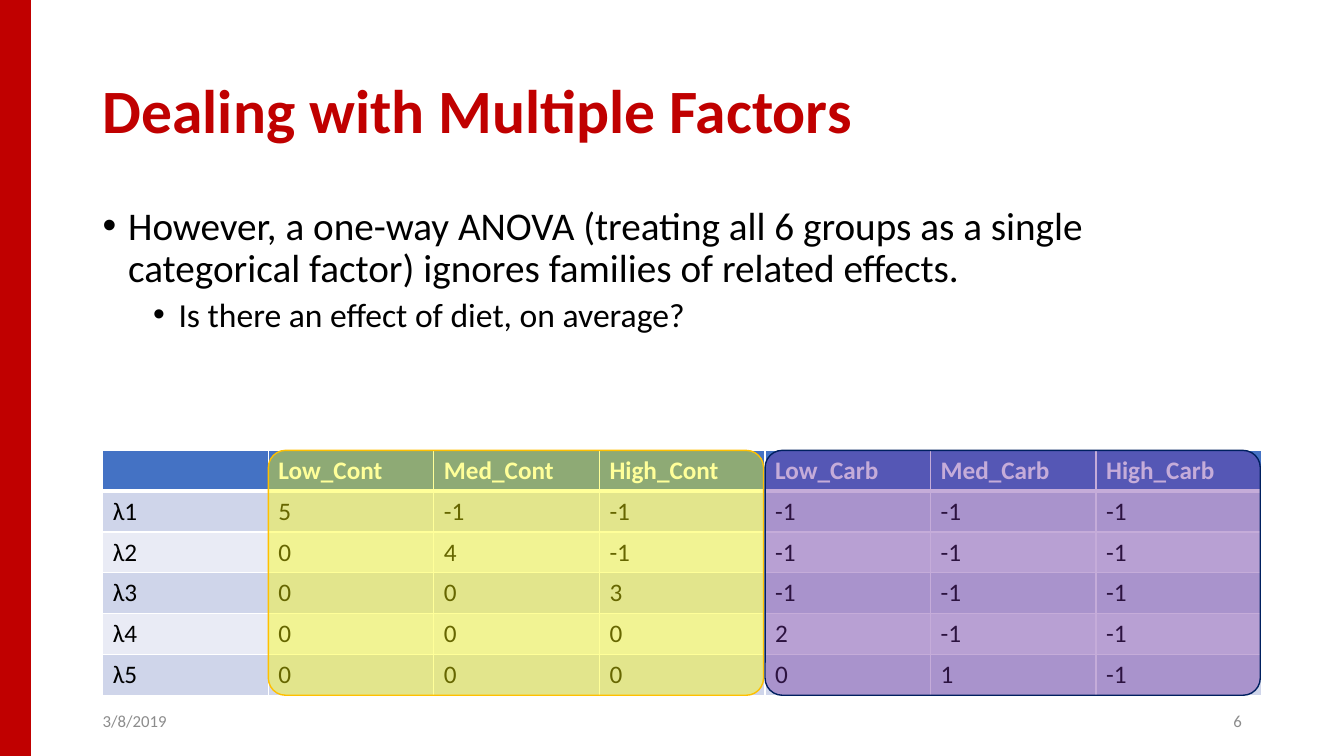
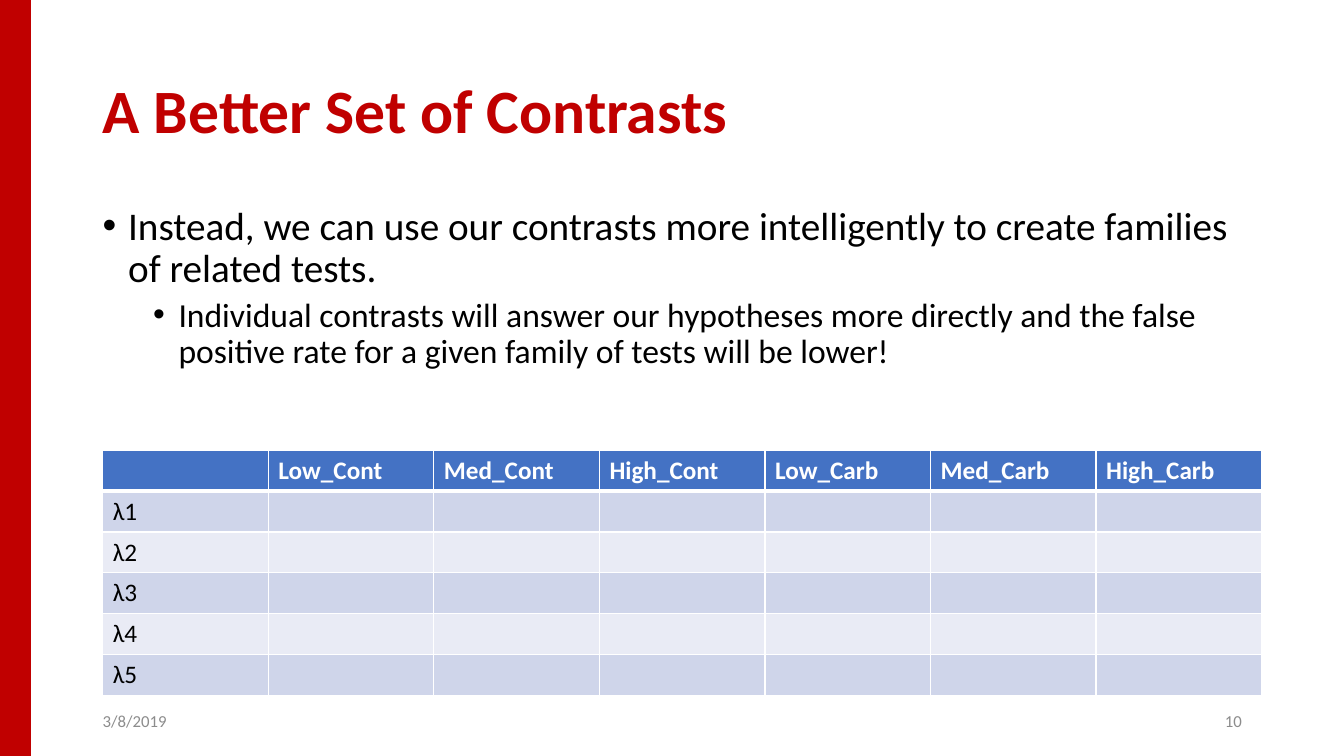
from lxml import etree
from pptx import Presentation
from pptx.dml.color import RGBColor
from pptx.enum import shapes, text
from pptx.oxml import ns
from pptx.util import Cm, Pt

RED = RGBColor(0xC0, 0x00, 0x00)
BLACK = RGBColor(0x00, 0x00, 0x00)
WHITE = RGBColor(0xFF, 0xFF, 0xFF)
GREY = RGBColor(0x8C, 0x8C, 0x8C)
BLUE = RGBColor(0x44, 0x72, 0xC4)
DARK = RGBColor(0xCF, 0xD5, 0xEA)
LIGHT = RGBColor(0xE9, 0xEB, 0xF5)
YELLOW = RGBColor(0xFF, 0xFF, 0x00)
GOLD = RGBColor(0xFF, 0xC0, 0x00)
PURPLE = RGBColor(0x70, 0x30, 0xA0)
NAVY = RGBColor(0x00, 0x20, 0x60)
FONT = "Calibri"

# Content
DATE = "3/8/2019"
HEAD = ["", "Low_Cont", "Med_Cont", "High_Cont",
        "Low_Carb", "Med_Carb", "High_Carb"]
TESTS = ["λ1", "λ2", "λ3", "λ4", "λ5"]
SLIDES = [
    {
        "title": "Dealing with Multiple Factors",
        "body": [
            (0, "However, a one-way ANOVA (treating all 6 groups as a single "
                "categorical factor) ignores families of related effects."),
            (1, "Is there an effect of diet, on average?"),
        ],
        "values": [
            [5, -1, -1, -1, -1, -1],
            [0, 4, -1, -1, -1, -1],
            [0, 0, 3, -1, -1, -1],
            [0, 0, 0, 2, -1, -1],
            [0, 0, 0, 0, 1, -1],
        ],
        # first column, column count, fill, line
        "marks": [(1, 3, YELLOW, GOLD), (4, 3, PURPLE, NAVY)],
        "number": 6,
    },
    {
        "title": "A Better Set of Contrasts",
        "body": [
            (0, "Instead, we can use our contrasts more intelligently to "
                "create families of related tests."),
            (1, "Individual contrasts will answer our hypotheses more directly "
                "and the false positive rate for a given family of tests "
                "will be lower!"),
        ],
        "values": [[""] * 6] * 5,
        "marks": [],
        "number": 10,
    },
]

# Layout
WIDE, HIGH = Cm(33.87), Cm(19.05)
LEFT, SPAN = Cm(2.34), Cm(29.21)
GRID_X, GRID_Y = Cm(2.59), Cm(11.35)
COL, ROW = SPAN // len(HEAD), Cm(6.17) // (len(TESTS) + 1)
LEVELS = [(28, Cm(0.64)), (24, Cm(1.91))]  # text size, indent
HANG = Cm(0.64)


def style(para, size, color, bold=False):
    font = para.font
    font.name, font.size, font.bold = FONT, Pt(size), bold
    font.color.rgb = color


def add_box(slide, x, y, w, h, anchor=text.MSO_ANCHOR.MIDDLE):
    frame = slide.shapes.add_textbox(x, y, w, h).text_frame
    frame.word_wrap = True
    frame.vertical_anchor = anchor
    return frame


def add_shape(slide, kind, x, y, w, h, fill, line):
    shape = slide.shapes.add_shape(kind, x, y, w, h)
    shape.shadow.inherit = False
    shape.fill.solid()
    shape.fill.fore_color.rgb = fill
    shape.line.color.rgb = line
    shape.line.width = Pt(1)
    return shape


def add_frame(slide, title, number):
    """Red band, title, date and slide number."""
    add_shape(slide, shapes.MSO_SHAPE.RECTANGLE, 0, 0, Cm(0.76), HIGH, RED, RED)
    para = add_box(slide, LEFT, Cm(1.02), SPAN, Cm(3.68)).paragraphs[0]
    para.text, para.line_spacing = title, 0.9
    style(para, 44, RED, True)
    foot = Cm(7.62)
    for x, words, align in (
            (LEFT, DATE, text.PP_ALIGN.LEFT),
            (LEFT + SPAN - foot, str(number), text.PP_ALIGN.RIGHT)):
        para = add_box(slide, x, Cm(17.65), foot, Cm(1.01)).paragraphs[0]
        para.text, para.alignment = words, align
        style(para, 12, GREY)


def add_body(slide, items):
    frame = add_box(slide, LEFT, Cm(5.08), SPAN, Cm(6), text.MSO_ANCHOR.TOP)
    for i, (level, words) in enumerate(items):
        para = frame.add_paragraph() if i else frame.paragraphs[0]
        para.text, para.level, para.line_spacing = words, level, 0.9
        if i:
            para.space_before = Pt(5)
        size, indent = LEVELS[level]
        props = para._p.get_or_add_pPr()
        props.set("marL", str(indent))
        props.set("indent", str(-HANG))
        etree.SubElement(props, ns.qn("a:buFont")).set("typeface", "Arial")
        etree.SubElement(props, ns.qn("a:buChar")).set("char", "•")
        style(para, size, BLACK)


def add_edges(cell, widths):
    """White borders; widths are left, right, top, bottom in points."""
    props = cell._tc.get_or_add_tcPr()
    for side, width in zip("LRTB", widths):
        edge = etree.SubElement(props, ns.qn(f"a:ln{side}"), w=str(Pt(width)))
        fill = etree.SubElement(edge, ns.qn("a:solidFill"))
        etree.SubElement(fill, ns.qn("a:srgbClr"), val=str(WHITE))


def add_grid(slide, values):
    rows = [HEAD] + [[name, *row] for name, row in zip(TESTS, values)]
    table = slide.shapes.add_table(len(rows), len(HEAD), GRID_X, GRID_Y,
                                   COL * len(HEAD), ROW * len(rows)).table
    for r, row in enumerate(rows):
        table.rows[r].height = ROW
        for c, value in enumerate(row):
            cell = table.cell(r, c)
            add_edges(cell, (1, 1, 3 if r == 1 else 1, 1 if r else 3))
            cell.fill.solid()
            cell.fill.fore_color.rgb = (DARK if r % 2 else LIGHT) if r else BLUE
            cell.text = str(value)
            style(cell.text_frame.paragraphs[0], 18,
                  BLACK if r else WHITE, r == 0)


def add_mark(slide, first, count, fill, line):
    """Translucent block over a family of columns."""
    mark = add_shape(slide, shapes.MSO_SHAPE.ROUNDED_RECTANGLE,
                     GRID_X + first * COL, GRID_Y, count * COL - Cm(0.04),
                     ROW * (len(TESTS) + 1), fill, line)
    mark.adjustments[0] = 0.07
    color = mark._element.spPr.find(ns.qn("a:solidFill"))[0]
    etree.SubElement(color, ns.qn("a:alpha"), val="40000")


def main():
    deck = Presentation()
    deck.slide_width, deck.slide_height = WIDE, HIGH
    for data in SLIDES:
        slide = deck.slides.add_slide(deck.slide_layouts[6])
        add_frame(slide, data["title"], data["number"])
        add_body(slide, data["body"])
        add_grid(slide, data["values"])
        for mark in data["marks"]:
            add_mark(slide, *mark)
    deck.save("out.pptx")


if __name__ == "__main__":
    main()
